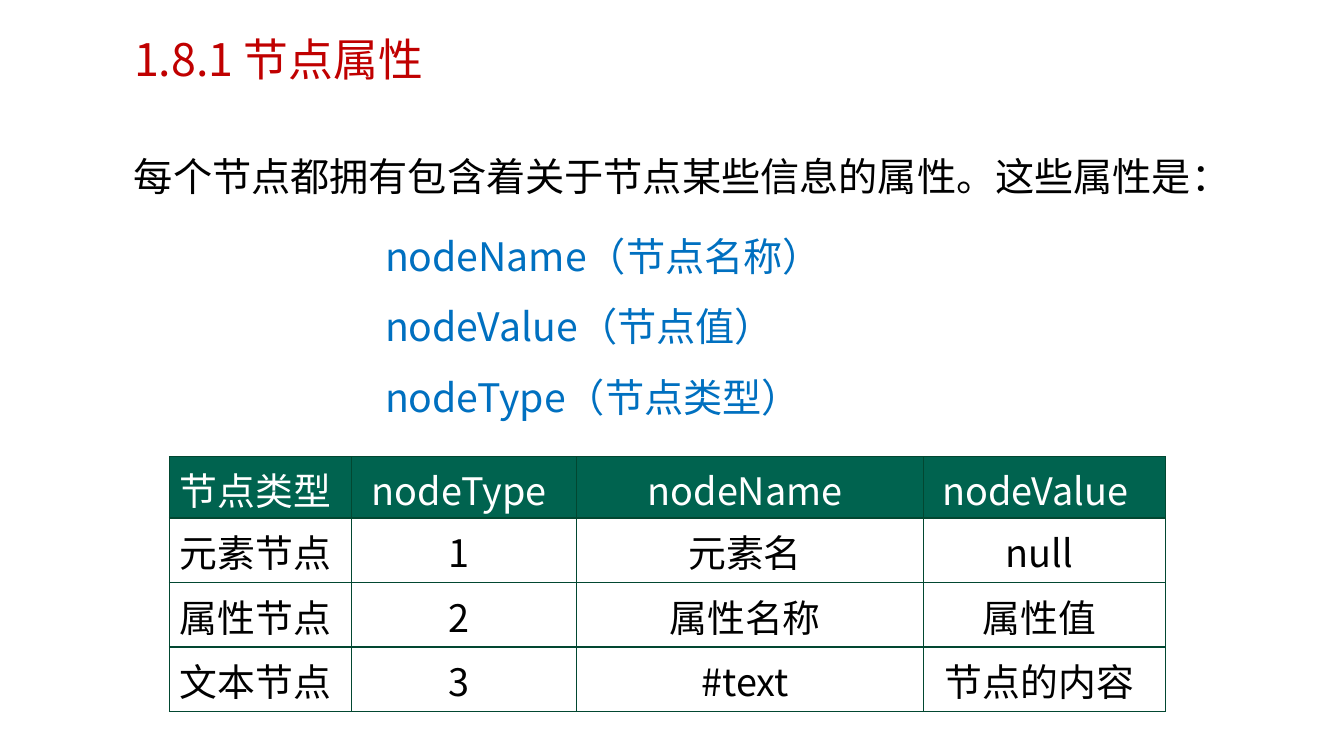
from dataclasses import dataclass

from lxml import etree
from pptx import Presentation
from pptx import util as u
from pptx.dml.color import RGBColor
from pptx.enum import text
from pptx.oxml import ns

WIDTH, HEIGHT = 13.33, 7.5
FONT = "Noto Sans CJK SC"
COLORS = {
    "title": "C00000",
    "body": "000000",
    "property": "0070C0",
    "header_text": "FFFFFF",
    "header_fill": "00634F",
    "border": "024731",
}


@dataclass(frozen=True)
class Box:
    """Position and size in inches on the slide."""
    left: float
    top: float
    width: float
    height: float

    def lengths(self) -> list[u.Emu]:
        return [u.Inches(n) for n in (self.left, self.top, self.width, self.height)]


@dataclass(frozen=True)
class TextBlock:
    box: Box
    color: str
    paragraphs: tuple[str, ...]


TITLE_BOX = Box(1.23, 0.26, 8.05, 0.54)
BLOCKS = (
    TextBlock(Box(1.23, 1.23, 11.19, 0.81), "body",
              ("每个节点都拥有包含着关于节点某些信息的属性。这些属性是：",)),
    # A vertical tab is a line break inside a paragraph
    TextBlock(Box(3.72, 2.02, 5.81, 3.13), "property",
              ("nodeName（节点名称）", "nodeValue（节点值）\vnodeType（节点类型）")),
)
TABLE_BOX = Box(1.68, 4.53, 9.88, 2.53)
COLUMN_WIDTHS = (1.81, 2.23, 3.44, 2.4)
HEADER_HEIGHT, ROW_HEIGHT = 0.61, 0.64
TABLE_ROWS = (
    ("节点类型", "nodeType", "nodeName", "nodeValue "),
    ("元素节点", "1", "元素名", "null"),
    ("属性节点", "2", "属性名称", "属性值"),
    ("文本节点", "3", "#text", "节点的内容"),
)


def style_paragraph(paragraph, size: float, color: str) -> None:
    font = paragraph.font
    font.name, font.size, font.bold = FONT, u.Pt(size), False
    font.color.rgb = RGBColor.from_string(COLORS[color])
    # Chinese characters take the East Asian font of each run
    for run in paragraph.runs:
        properties = run.font._element
        etree.SubElement(properties, ns.qn("a:ea"), typeface=FONT)


def add_title(slide, title: str) -> None:
    shape = slide.shapes.title
    shape.left, shape.top, shape.width, shape.height = TITLE_BOX.lengths()
    frame = shape.text_frame
    frame.text = title
    frame.auto_size = text.MSO_AUTO_SIZE.NONE
    frame.vertical_anchor = text.MSO_ANCHOR.TOP
    paragraph = frame.paragraphs[0]
    paragraph.alignment = text.PP_ALIGN.LEFT
    style_paragraph(paragraph, 32, "title")


def add_text_block(slide, block: TextBlock) -> None:
    frame = slide.shapes.add_textbox(*block.box.lengths()).text_frame
    frame.word_wrap = True
    frame.text = "\n".join(block.paragraphs)
    for paragraph in frame.paragraphs:
        paragraph.line_spacing = 1.5
        style_paragraph(paragraph, 28, block.color)


def add_borders(cell) -> None:
    properties = cell._tc.get_or_add_tcPr()
    for position, side in enumerate(("lnL", "lnR", "lnT", "lnB")):
        line = etree.Element(ns.qn(f"a:{side}"), w=str(u.Pt(1)))
        fill = etree.SubElement(line, ns.qn("a:solidFill"))
        etree.SubElement(fill, ns.qn("a:srgbClr"), val=COLORS["border"])
        properties.insert(position, line)


def format_cell(cell, content: str, is_header: bool) -> None:
    cell.text = content
    cell.vertical_anchor = text.MSO_ANCHOR.MIDDLE
    cell.margin_left, cell.margin_right = u.Inches(0.06), u.Inches(0.16)
    cell.margin_top = cell.margin_bottom = u.Inches(0.05 if is_header else 0.06)
    if is_header:
        cell.fill.solid()
        cell.fill.fore_color.rgb = RGBColor.from_string(COLORS["header_fill"])
    else:
        cell.fill.background()
    add_borders(cell)
    paragraph = cell.text_frame.paragraphs[0]
    paragraph.alignment = text.PP_ALIGN.CENTER
    style_paragraph(paragraph, 27, "header_text" if is_header else "body")


def add_node_table(slide) -> None:
    table = slide.shapes.add_table(
        len(TABLE_ROWS), len(COLUMN_WIDTHS), *TABLE_BOX.lengths()).table
    table.horz_banding = False
    for column, width in zip(table.columns, COLUMN_WIDTHS):
        column.width = u.Inches(width)
    for index, (row, contents) in enumerate(zip(table.rows, TABLE_ROWS)):
        is_header = index == 0
        row.height = u.Inches(HEADER_HEIGHT if is_header else ROW_HEIGHT)
        for cell, content in zip(row.cells, contents):
            format_cell(cell, content, is_header)


def main() -> None:
    presentation = Presentation()
    presentation.slide_width = u.Inches(WIDTH)
    presentation.slide_height = u.Inches(HEIGHT)
    slide = presentation.slides.add_slide(presentation.slide_layouts[5])

    # Heading and explanation
    add_title(slide, "1.8.1 节点属性")
    for block in BLOCKS:
        add_text_block(slide, block)

    # Node types and their property values
    add_node_table(slide)
    presentation.save("out.pptx")


if __name__ == "__main__":
    main()
